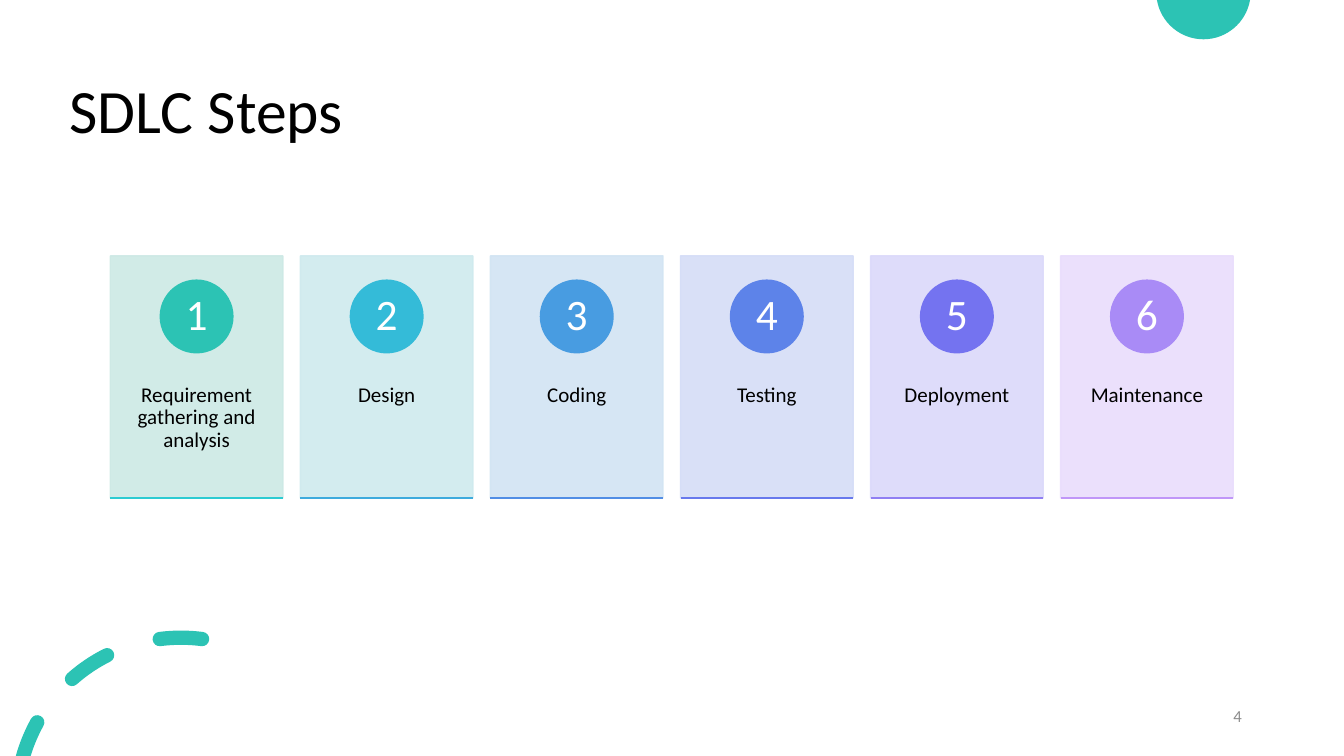
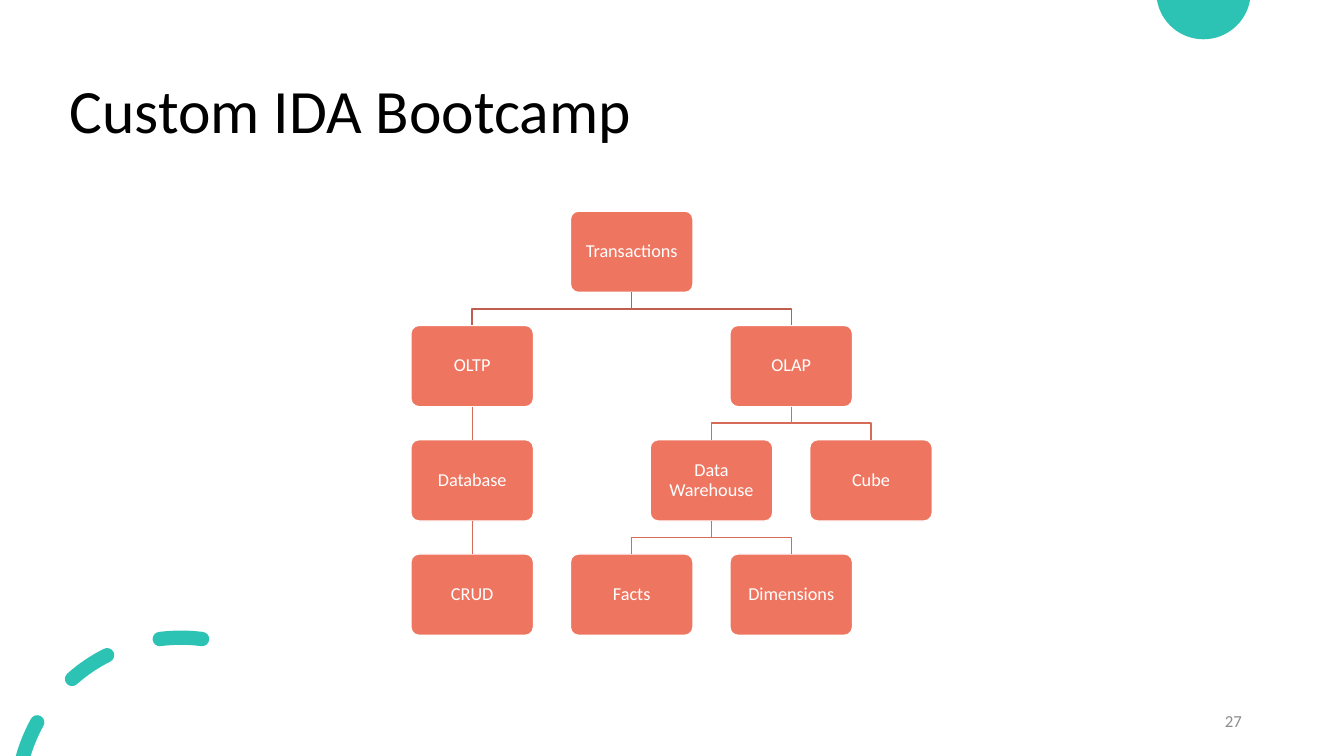
from dataclasses import dataclass
from math import acos, cos, degrees, radians, sin, tan

from lxml import etree
from pptx import Presentation
from pptx.dml.color import RGBColor
from pptx.enum.shapes import MSO_CONNECTOR, MSO_SHAPE
from pptx.enum.text import MSO_ANCHOR, PP_ALIGN
from pptx.oxml.ns import qn
from pptx.util import Cm, Pt

LEFT, CENTER, RIGHT = PP_ALIGN.LEFT, PP_ALIGN.CENTER, PP_ALIGN.RIGHT
TOP, MIDDLE = MSO_ANCHOR.TOP, MSO_ANCHOR.MIDDLE
RECTANGLE, ROUNDED, OVAL = (
    MSO_SHAPE.RECTANGLE, MSO_SHAPE.ROUNDED_RECTANGLE, MSO_SHAPE.OVAL)
STRAIGHT = MSO_CONNECTOR.STRAIGHT
BOTTOM_SITE, TOP_SITE = 2, 0


@dataclass(frozen=True)
class Theme:
    font: str = "Calibri"
    ink: str = "000000"
    paper: str = "FFFFFF"
    accent: str = "2CC3B4"
    muted: str = "8C8C8C"
    node: str = "EE7661"
    root_link: str = "BF5E4E"
    link: str = "D86B58"
    title_size: int = 44
    number_size: int = 31
    label_size: int = 15
    node_size: int = 13
    page_size: int = 12


THEME = Theme()
SLIDE_WIDTH, SLIDE_HEIGHT = 33.87, 19.05

# Content: step label, card colour, circle colour, bottom edge colour
STEPS_TITLE, STEPS_PAGE = "SDLC Steps", "4"
STEPS = [
    ("Requirement gathering and analysis", "CDE9E5", "2CC3B4", "2CCBD2"),
    ("Design", "CFEAEE", "34BBD8", "3EABDD"),
    ("Coding", "D2E4F3", "489CE1", "528EE5"),
    ("Testing", "D5DDF7", "5D83E9", "6879ED"),
    ("Deployment", "DBD9FA", "7473F0", "907FF3"),
    ("Maintenance", "E9DDFC", "A98BF6", "C097F8"),
]

# Content: node label, column, row, parent
TREE_TITLE, TREE_PAGE = "Custom IDA Bootcamp", "27"
TREE = [
    ("Transactions", 2, 0, None),
    ("OLTP", 0, 1, "Transactions"),
    ("Database", 0, 2, "OLTP"),
    ("CRUD", 0, 3, "Database"),
    ("OLAP", 4, 1, "Transactions"),
    ("Data Warehouse", 3, 2, "OLAP"),
    ("Facts", 2, 3, "Data Warehouse"),
    ("Dimensions", 4, 3, "Data Warehouse"),
    ("Cube", 5, 2, "OLAP"),
]


# Shared helpers
def write(shape, text, size, color, align=CENTER, anchor=MIDDLE,
          spacing=0.9, insets=None):
    frame = shape.text_frame
    frame.word_wrap = True
    frame.vertical_anchor = anchor
    if insets:
        (frame.margin_left, frame.margin_top,
         frame.margin_right, frame.margin_bottom) = map(Cm, insets)
    frame.text = text
    para = frame.paragraphs[0]
    para.alignment = align
    para.line_spacing = spacing
    span = para.runs[0]
    span.font.name = THEME.font
    span.font.size = Pt(size)
    span.font.color.rgb = RGBColor.from_string(color)


def add_box(page, kind, left, top, width, height, fill, line):
    box = page.shapes.add_shape(kind, Cm(left), Cm(top), Cm(width), Cm(height))
    box.shadow.inherit = False
    box.fill.solid()
    box.fill.fore_color.rgb = RGBColor.from_string(fill)
    set_line(box, line)
    return box


def set_line(shape, color):
    shape.line.color.rgb = RGBColor.from_string(color)
    shape.line.width = Pt(1)


def add_line(page, start, end, color):
    line = page.shapes.add_connector(STRAIGHT, *map(Cm, start + end))
    set_line(line, color)
    etree.SubElement(line._element.spPr, qn("a:effectLst"))
    return line


def set_opacity(shape, percent):
    for color in shape._element.spPr.iter(qn("a:srgbClr")):
        etree.SubElement(color, qn("a:alpha")).set("val", str(percent * 1000))


def draw_outlines(page, outlines, close=True):
    builder = None
    for outline in outlines:
        points = [(Cm(x), Cm(y)) for x, y in outline]
        if builder is None:
            builder = page.shapes.build_freeform(*points[0])
        else:
            builder.move_to(*points[0])
        builder.add_line_segments(points[1:], close=close)
    shape = builder.convert_to_shape()
    shape.shadow.inherit = False
    return shape


# Decoration: curves are lists of Bezier points, three after each anchor
def polar(center, radius, angle):
    """Point at an angle in degrees, clockwise from straight up."""
    turn = radians(angle)
    return center[0] + radius * sin(turn), center[1] - radius * cos(turn)


def arc(center, radius, start, end, pieces=1):
    step = (end - start) / pieces
    reach = 4 / 3 * tan(radians(step) / 4)
    points = [polar(center, radius, start)]
    for index in range(pieces):
        first = start + index * step
        last = first + step
        x1, y1 = points[-1]
        x2, y2 = polar(center, radius, last)
        dx1, dy1 = polar((0, 0), radius * reach, first + 90)
        dx2, dy2 = polar((0, 0), radius * reach, last + 90)
        points += [(x1 + dx1, y1 + dy1), (x2 - dx2, y2 - dy2), (x2, y2)]
    return points


def dash(center, radius, half, start, end):
    """A round-ended dash; without a start it is cut by the slide's bottom."""
    outer, inner = radius + half, radius - half
    if start is None:
        drop = center[1] - SLIDE_HEIGHT
        outer_start, inner_start = (-degrees(acos(drop / r)) for r in (outer, inner))
    else:
        outer_start = inner_start = start
    points = arc(center, outer, outer_start, end)
    points += arc(polar(center, radius, end), half, end, end + 180, 2)[1:]
    points += arc(center, inner, end, inner_start)[1:]
    if start is not None:
        tail = polar(center, radius, start)
        points += arc(tail, half, start + 180, start + 360, 2)[1:]
    return points


def bend(shape):
    """Turn every three straight segments into one Bezier curve."""
    segments = list(shape._element.spPr.iter(qn("a:lnTo")))
    for index in range(0, len(segments), 3):
        curve = etree.Element(qn("a:cubicBezTo"))
        segments[index].addprevious(curve)
        for segment in segments[index:index + 3]:
            curve.append(segment[0])
            segment.getparent().remove(segment)


def set_up_layout(layout, page):
    title = layout.placeholders[0]
    title.left, title.top = Cm(1.5), Cm(1.02)
    title.width, title.height = Cm(29.21), Cm(3.68)
    disc = arc((30.33, -0.2), 1.19, 99.7, 260.3, 2)
    dashes = [dash((4.56, 20.21), 4.14, 0.18, start, end)
              for start, end in ((None, -61), (-41.5, -26.7), (-7.4, 7.4))]
    for number, outlines in enumerate(([disc], dashes), start=100):
        shape = draw_outlines(page, outlines)
        bend(shape)
        shape.fill.solid()
        shape.fill.fore_color.rgb = RGBColor.from_string(THEME.accent)
        shape.line.fill.background()
        shape._element.nvSpPr.cNvPr.set("id", str(number))
        layout.shapes._spTree.append(shape._element)


def set_up_page(page, title, number, number_top):
    title_box = page.shapes.title
    write(title_box, title, THEME.title_size, THEME.ink, LEFT)
    number_box = page.shapes.add_textbox(
        Cm(23.93), Cm(number_top), Cm(7.62), Cm(1.02))
    write(number_box, number, THEME.page_size, THEME.muted, RIGHT, spacing=1)


# Step cards
def draw_steps(page):
    first_left, top, pitch = 2.78, 6.45, 4.79
    width, height, circle = 4.35, 6.1, 1.83
    for index, (label, card_color, circle_color, edge_color) in enumerate(STEPS):
        left = first_left + index * pitch
        card = add_box(page, RECTANGLE, left, top, width, height,
                       card_color, card_color)
        set_opacity(card, 90)
        write(card, label, THEME.label_size, THEME.ink, anchor=TOP,
              insets=(0.33, 3.23, 0.33, 0.9))
        badge = add_box(page, OVAL, left + (width - circle) / 2, top + 0.61,
                        circle, circle, circle_color, circle_color)
        write(badge, str(index + 1), THEME.number_size, THEME.paper,
              insets=(0, 0, 0, 0))
        bottom = top + height
        add_line(page, (left, bottom), (left + width, bottom), edge_color)


# Tree of nodes
def draw_tree(page):
    first_center, column_pitch = 11.9, 2.01
    first_top, row_pitch = 5.32, 2.88
    width, height = 3.09, 2.05
    nodes = {}
    for label, column, row, parent in TREE:
        center = first_center + column * column_pitch
        top = first_top + row * row_pitch
        node = add_box(page, ROUNDED, center - width / 2, top, width, height,
                       THEME.node, THEME.paper)
        node.adjustments[0] = 0.1
        write(node, label, THEME.node_size, THEME.paper,
              insets=(0.2, 0.2, 0.2, 0.2))
        nodes[label] = node, center, top
        if parent is None:
            continue
        parent_node, parent_center, parent_top = nodes[parent]
        start, end = (parent_center, parent_top + height), (center, top)
        color = THEME.root_link if row == 1 else THEME.link
        if center == parent_center:
            link = add_line(page, start, end, color)
            link.begin_connect(parent_node, BOTTOM_SITE)
            link.end_connect(node, TOP_SITE)
        else:
            middle = (start[1] + end[1]) / 2
            bends = [start, (start[0], middle), (end[0], middle), end]
            link = draw_outlines(page, [bends], close=False)
            link.fill.background()
            set_line(link, color)


def main():
    deck = Presentation()
    deck.slide_width, deck.slide_height = Cm(SLIDE_WIDTH), Cm(SLIDE_HEIGHT)
    layout = deck.slide_layouts[5]
    steps_page = deck.slides.add_slide(layout)
    tree_page = deck.slides.add_slide(layout)
    set_up_layout(layout, steps_page)

    set_up_page(steps_page, STEPS_TITLE, STEPS_PAGE, 17.53)
    draw_steps(steps_page)

    set_up_page(tree_page, TREE_TITLE, TREE_PAGE, 17.65)
    draw_tree(tree_page)
    deck.save("out.pptx")


if __name__ == "__main__":
    main()
